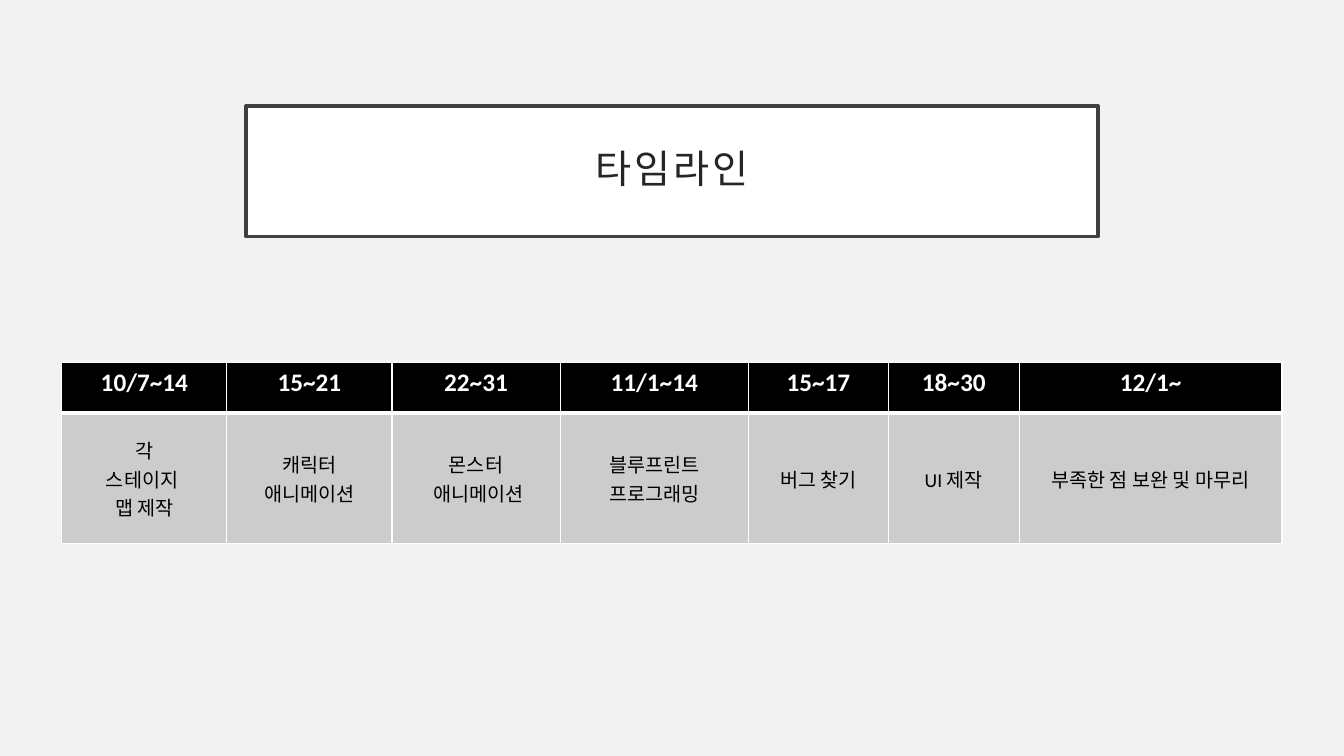
from dataclasses import dataclass

from lxml.etree import SubElement
from pptx import Presentation
from pptx.dml.color import RGBColor as Rgb
from pptx.enum.text import MSO_ANCHOR as Anchor, PP_ALIGN as Align
from pptx.oxml.ns import qn
from pptx.util import Inches, Pt


@dataclass(frozen=True)
class Theme:
    font: str = "Calibri"
    page: str = "F2F2F2"
    white: str = "FFFFFF"
    black: str = "000000"
    frame: str = "404040"
    title_ink: str = "262626"
    body_fill: str = "CCCCCC"
    title_size: int = 28
    header_size: int = 18
    body_size: int = 14
    frame_width: float = 2.5
    grid_width: int = 1
    rule_width: int = 3


THEME = Theme()
SLIDE_SIZE = Inches(13.33), Inches(7.5)
# Shares of the slide: left, top, width, height
TITLE_BOX = 0.183, 0.14, 0.634, 0.173
SCHEDULE_BOX = 0.046, 0.48, 0.908, 0.239

COLUMN_SHARES = 1.64, 1.64, 1.67, 1.87, 1.39, 1.3, 2.61
ROW_SHARES = 0.5, 1.29
SCHEDULE = [
    ("10/7~14", "각\n스테이지 \n맵 제작"),
    ("15~21", "캐릭터\n애니메이션"),
    ("22~31", "몬스터\n 애니메이션"),
    ("11/1~14", "블루프린트\n프로그래밍"),
    ("15~17", "버그 찾기"),
    ("18~30", "UI 제작"),
    ("12/1~", "부족한 점 보완 및 마무리"),
]


def place(shares):
    """Turn shares of the slide into a box in EMU."""
    return [int(share * side) for share, side in zip(shares, SLIDE_SIZE * 2)]


def set_format(target, values):
    for name, value in values.items():
        setattr(target, name, value)


def paint(fill, color):
    fill.solid()
    fill.fore_color.rgb = Rgb.from_string(color)


def style_text(frame, size, color, bold=False):
    for paragraph in frame.paragraphs:
        paragraph.alignment = Align.CENTER
        for run in paragraph.runs:
            set_format(run.font, {"name": THEME.font, "size": Pt(size), "bold": bold})
            run.font.color.rgb = Rgb.from_string(color)


def add_borders(cell, widths):
    """Draw white borders; widths are points for left, right, top, bottom."""
    properties = cell._tc.get_or_add_tcPr()
    for position, (side, width) in enumerate(zip("LRTB", widths)):
        border = SubElement(properties, qn(f"a:ln{side}"), w=str(Pt(width)))
        color = SubElement(SubElement(border, qn("a:solidFill")), qn("a:srgbClr"))
        color.set("val", THEME.white)
        properties.insert(position, border)


def fill_title(title, box, wording):
    set_format(title, dict(zip(("left", "top", "width", "height"), box)))
    paint(title.fill, THEME.white)
    paint(title.line.fill, THEME.frame)
    title.line.width = Pt(THEME.frame_width)
    frame = title.text_frame
    frame.text = wording
    margins = ("margin_left", "margin_right", "margin_top", "margin_bottom")
    set_format(frame, dict.fromkeys(margins, Inches(0.2)))
    set_format(frame, {"vertical_anchor": Anchor.MIDDLE, "word_wrap": True})
    style_text(frame, THEME.title_size, THEME.title_ink)
    heading = frame.paragraphs[0]
    heading.line_spacing = 0.9
    heading.runs[0].font._element.set("spc", "200")


def add_schedule(slide, box):
    table = slide.shapes.add_table(len(ROW_SHARES), len(SCHEDULE), *box).table
    for column, share in zip(table.columns, COLUMN_SHARES):
        column.width = int(box[2] * share / sum(COLUMN_SHARES))
    for row, share in zip(table.rows, ROW_SHARES):
        row.height = int(box[3] * share / sum(ROW_SHARES))

    thin, thick = THEME.grid_width, THEME.rule_width
    row_styles = [
        (THEME.black, Anchor.TOP, (thin, thin, thin, thick),
         (THEME.header_size, THEME.white, True)),
        (THEME.body_fill, Anchor.MIDDLE, (thin, thin, thick, thin),
         (THEME.body_size, THEME.black)),
    ]
    for column, entry in enumerate(SCHEDULE):
        for row, (wording, row_style) in enumerate(zip(entry, row_styles)):
            background, anchor, borders, text_style = row_style
            cell = table.cell(row, column)
            set_format(cell, {"text": wording, "vertical_anchor": anchor})
            paint(cell.fill, background)
            add_borders(cell, borders)
            style_text(cell.text_frame, *text_style)


def build_timeline(deck):
    slide = deck.slides.add_slide(deck.slide_layouts[5])
    paint(slide.background.fill, THEME.page)
    fill_title(slide.shapes.title, place(TITLE_BOX), "타임라인")
    add_schedule(slide, place(SCHEDULE_BOX))


def main():
    deck = Presentation()
    deck.slide_width, deck.slide_height = SLIDE_SIZE
    build_timeline(deck)
    deck.save("out.pptx")


if __name__ == "__main__":
    main()
